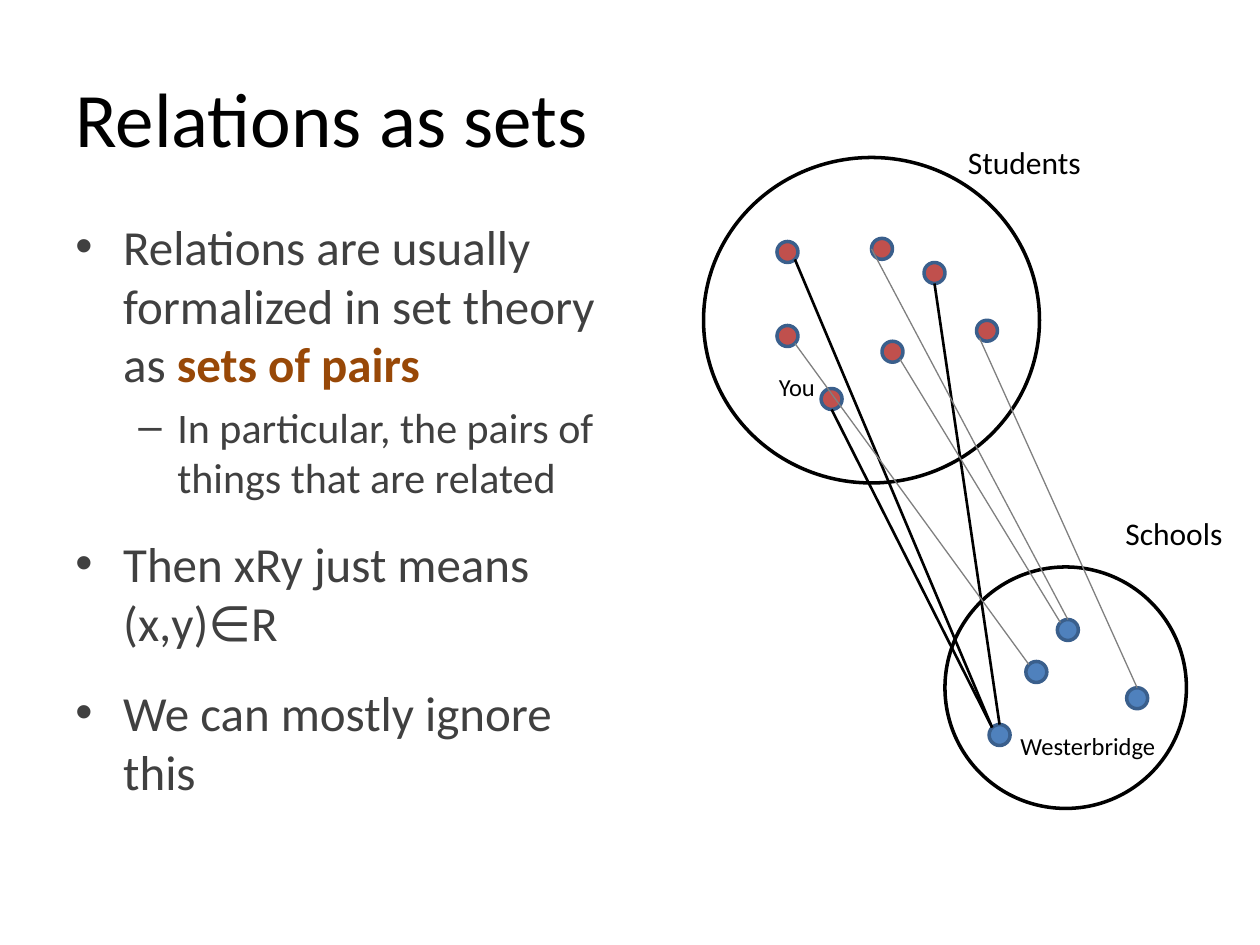
import math

from lxml import etree
from pptx import Presentation
from pptx.dml.color import RGBColor
from pptx.enum import shapes, text
from pptx.oxml.ns import qn
from pptx.util import Inches, Pt

COLORS = {
    "ink": "000000", "body": "404040", "accent": "984807", "student": "C0504D",
    "school": "4F81BD", "rim": "3A5F8C", "faint": "808080",
}
FONT = "Calibri"
WIDTH, HEIGHT = 10, 7.5
COLUMNS, ROWS = 120, 90
DOT = 2
STUDENTS = {
    "upper left": (74, 23), "left": (74, 31), "top": (83, 22.7), "centre": (84, 32.5),
    "you": (78.2, 37), "upper right": (88, 25), "right": (93, 30.5),
}
SCHOOLS = {
    "top": (100.7, 59), "right": (107.3, 65.5), "labelled": (94.2, 69), "middle": (97.7, 63),
}
ANGLES = {"right": 0, "lower right": 45, "bottom": 90, "lower left": 135,
          "left": 180, "upper left": 225, "top": 270}
LABELS = [
    ("Students", 91, 13, 13.3, 18), ("Schools", 106, 48.4, 11.8, 18),
    ("Westerbridge", 96, 69, 15.7, 14), ("You", 73, 34.8, 5.9, 14),
]
STRONG, WEAK = ("ink", 1.5), ("faint", 0.75)
PAIRS = [
    ("you", "bottom", "labelled", "upper left", STRONG),
    ("upper right", "bottom", "labelled", "top", STRONG),
    ("upper left", "lower right", "labelled", "upper left", STRONG),
    ("centre", "lower right", "top", "upper left", WEAK),
    ("right", "lower left", "right", "top", WEAK),
    ("top", "left", "top", "top", WEAK),
    ("left", "lower right", "middle", "upper left", WEAK),
]
BULLETS = [
    ("•", 28, 5.6, 0.38, 0.38, [("Relations are usually formalized in set theory as ", "body", False),
                                ("sets of pairs", "accent", True)]),
    ("–", 24, 4.8, 0.81, 0.31, [("In particular, the pairs of things that are related", "body", False)]),
    ("•", 28, 18, 0.38, 0.38, [("Then xRy just means (x,y)∈R", "body", False)]),
    ("•", 28, 18, 0.38, 0.38, [("We can mostly ignore this", "body", False)]),
]


def color(name):
    """Return a named colour."""
    return RGBColor.from_string(COLORS[name])


def grid(column, row):
    """Turn a column and a row into slide lengths."""
    return Inches(column * WIDTH / COLUMNS), Inches(row * HEIGHT / ROWS)


def add_span(para, words, size, shade="ink", bold=False):
    """Add one run to a paragraph."""
    span = para.add_run()
    span.text = words
    span.font.name, span.font.size, span.font.bold = FONT, Pt(size), bold
    span.font.color.rgb = color(shade)


def add_box(page, column, row, columns, rows, wrap=True, anchor=text.MSO_ANCHOR.TOP):
    """Add an empty text box and return its frame."""
    frame = page.shapes.add_textbox(*grid(column, row), *grid(columns, rows)).text_frame
    frame.word_wrap, frame.vertical_anchor = wrap, anchor
    return frame


def add_bullets(frame):
    """Write the bulleted paragraphs into a frame."""
    for index, (mark, size, before, margin, hang, spans) in enumerate(BULLETS):
        para = frame.add_paragraph() if index else frame.paragraphs[0]
        para.space_before = Pt(before)
        properties = para._p.get_or_add_pPr()
        properties.set("marL", str(Inches(margin)))
        properties.set("indent", str(-Inches(hang)))
        etree.SubElement(properties, qn("a:buFont")).set("typeface", "Arial")
        etree.SubElement(properties, qn("a:buChar")).set("char", mark)
        for words, shade, bold in spans:
            add_span(para, words, size, shade, bold)


def add_ellipse(page, column, row, columns, rows, line, fill=None):
    """Add an outlined ellipse, filled if a colour is given."""
    ellipse = page.shapes.add_shape(shapes.MSO_SHAPE.OVAL, *grid(column, row), *grid(columns, rows))
    ellipse.shadow.inherit = False
    ellipse.line.color.rgb, ellipse.line.width = color(line), Pt(2)
    if fill:
        ellipse.fill.solid()
        ellipse.fill.fore_color.rgb = color(fill)
    else:
        ellipse.fill.background()


def rim_point(dot, side):
    """Return the point on a dot's rim at the given side."""
    angle, radius = math.radians(ANGLES[side]), DOT / 2
    return grid(dot[0] + radius * (1 + math.cos(angle)), dot[1] + radius * (1 + math.sin(angle)))


def add_pair(page, student, exit_side, school, entry_side, style):
    """Draw the line that relates a student to a school."""
    line = page.shapes.add_connector(
        shapes.MSO_CONNECTOR.STRAIGHT,
        *rim_point(STUDENTS[student], exit_side), *rim_point(SCHOOLS[school], entry_side))
    shade, width = style
    line.line.color.rgb, line.line.width = color(shade), Pt(width)
    etree.SubElement(line._element.spPr, qn("a:effectLst"))


def main():
    """Build the slide and save it."""
    deck = Presentation()
    deck.slide_width, deck.slide_height = Inches(WIDTH), Inches(HEIGHT)
    page = deck.slides.add_slide(deck.slide_layouts[6])
    title = add_box(page, 6, 3.6, 108, 15, anchor=text.MSO_ANCHOR.MIDDLE)
    add_span(title.paragraphs[0], "Relations as sets", 44)
    add_bullets(add_box(page, 6, 20, 53, 69))
    add_ellipse(page, 67, 15, 32, 31, "ink")
    add_ellipse(page, 90, 54, 23, 23, "ink")
    for dots, fill in ((STUDENTS, "student"), (SCHOOLS, "school")):
        for column, row in dots.values():
            add_ellipse(page, column, row, DOT, DOT, "rim", fill)
    for words, column, row, columns, size in LABELS:
        label = add_box(page, column, row, columns, 4 if size < 18 else 4.8, wrap=False)
        add_span(label.paragraphs[0], words, size)
    for pair in PAIRS:
        add_pair(page, *pair)
    deck.save("out.pptx")


if __name__ == "__main__":
    main()
